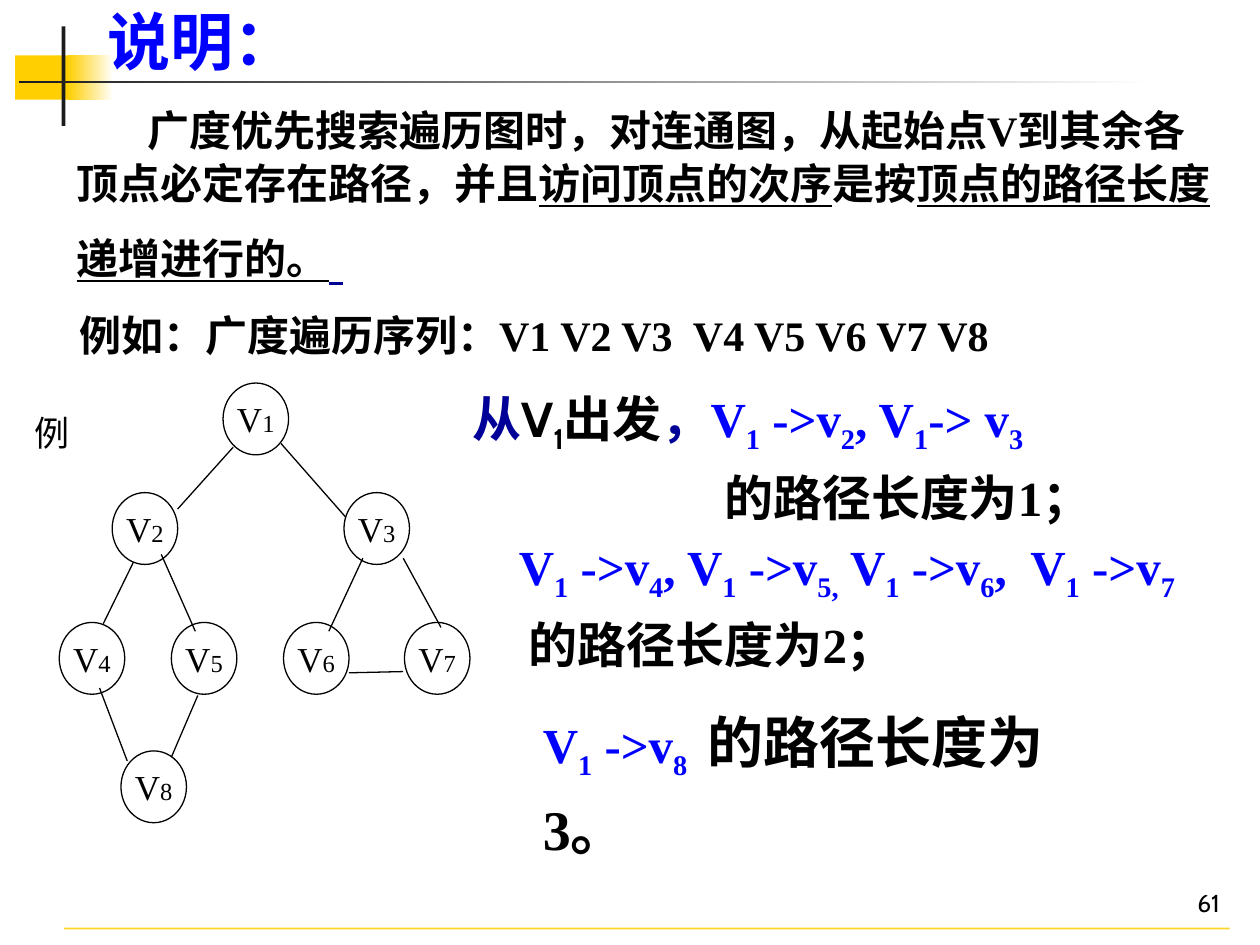
from lxml.etree import SubElement as Sub
from pptx import Presentation
from pptx.dml.color import RGBColor as Rgb
from pptx.enum.shapes import MSO_CONNECTOR as Link, MSO_SHAPE as Kind
from pptx.enum.text import MSO_ANCHOR as Anchor, MSO_AUTO_SIZE as Auto, PP_ALIGN as Align
from pptx.oxml.ns import qn
from pptx.util import Inches, Pt

WIDE, HIGH = Inches(10), Inches(7.5)
BLACK, WHITE = Rgb(0, 0, 0), Rgb(255, 255, 255)
BLUE, NAVY = Rgb(0, 0, 255), Rgb(0, 0, 0x99)
GOLD, AMBER, COAL = Rgb(0xFF, 0xCF, 1), Rgb(0xFF, 0xCC, 0), Rgb(0x1C, 0x1C, 0x1C)
SERIF, SANS, HAN = "Times New Roman", "Cabin", "Noto Sans CJK SC"

ROWS = 30.4, 39.1, 49.4, 59.6
NODES = {1: (17.7, 0), 2: (8.9, 1), 3: (27.3, 1), 4: (4.7, 2),
         5: (13.6, 2), 6: (22.5, 2), 7: (32.1, 2), 8: (9.6, 3)}
EDGES = [(18.5, 35.5, 14.1, 40.4), (22.3, 35.2, 27.4, 41), (10.6, 44.6, 8.2, 49.5),
         (12.8, 44, 15.5, 50.1), (7.9, 54.6, 10.1, 60.4), (15.7, 55.2, 13.6, 60.1),
         (28.8, 44.3, 26.1, 50.1), (27.7, 53.4, 32, 53.3), (32, 44.3, 35, 49.8)]


def grid(*cells):
    """Turn hundredths of the slide width into lengths."""
    return [int(WIDE * n / 100) for n in cells]


def style(size=24, color=BLACK, name=SERIF, bold=True, **more):
    """Return the format values of a run."""
    return dict(size=Pt(size), color=color, name=name, bold=bold, **more)


def math(text, **form):
    """Split text at bars into plain and lowered runs."""
    return [(part, style(28, BLUE, base=-25 * (i % 2)))
            for i, part in enumerate(text.split("|"))]


def write(para, runs, space=1, indent=0, align=Align.LEFT):
    """Fill a paragraph with formatted runs."""
    para.alignment, para.line_spacing = align, space
    para._p.get_or_add_pPr().set("indent", str(Inches(indent)))
    for text, form in runs:
        run = para.add_run()
        run.text = text
        props = run._r.get_or_add_rPr()
        for key, val in form.items():
            if key == "color":
                run.font.color.rgb = val
            elif key == "base":
                props.set("baseline", str(val * 1000))
            else:
                setattr(run.font, key, val)
        Sub(props, qn("a:ea")).set("typeface", HAN)


def label(slide, cells, paras, space=1, align=Align.LEFT, anchor=Anchor.TOP, wrap=True):
    """Add a text box of (indent, runs) paragraphs."""
    frame = slide.shapes.add_textbox(*grid(*cells)).text_frame
    frame.word_wrap, frame.vertical_anchor = wrap, anchor
    for i, (indent, runs) in enumerate(paras):
        para = frame.add_paragraph() if i else frame.paragraphs[0]
        write(para, runs, space, indent, align)


def block(slide, cells, color, fade=False):
    """Add a bar, plain or fading to white."""
    bar = slide.shapes.add_shape(Kind.RECTANGLE, *grid(*cells))
    bar.shadow.inherit = False
    bar.line.fill.background()
    if fade:
        bar.fill.gradient()
        bar.fill.gradient_angle = 0
        for stop, tone in zip(bar.fill.gradient_stops, (color, WHITE)):
            stop.color.rgb = tone
    else:
        bar.fill.solid()
        bar.fill.fore_color.rgb = color


def line(slide, ends, color=BLACK, width=0.75):
    """Add a straight line."""
    link = slide.shapes.add_connector(Link.STRAIGHT, *grid(*ends))
    link.line.color.rgb, link.line.width = color, Pt(width)
    Sub(link._element.spPr, qn("a:effectLst"))
    return link


def node(slide, num, left, row):
    """Add a numbered vertex."""
    oval = slide.shapes.add_shape(Kind.OVAL, *grid(left, ROWS[row], 5.2, 5.7))
    oval.shadow.inherit = False
    oval.fill.background()
    oval.line.color.rgb, oval.line.width = BLACK, Pt(0.75)
    frame = oval.text_frame
    frame.word_wrap, frame.vertical_anchor = False, Anchor.MIDDLE
    write(frame.paragraphs[0], [("V", style(20, bold=False)),
                                (str(num), style(14, bold=False))], align=Align.CENTER)


def head(slide):
    """Format the title."""
    title = slide.shapes.title
    title.left, title.top, title.width, title.height = grid(7.5, -0.3, 20.5, 7)
    frame = title.text_frame
    frame.auto_size, frame.vertical_anchor = Auto.NONE, Anchor.TOP
    write(frame.paragraphs[0], [("说明：", style(36, BLUE))])


def frame(slide):
    """Add the bars, the foot rule and the page number."""
    block(slide, (1.2, 4.4, 4.8, 3.5), GOLD)
    block(slide, (5.4, 4.4, 3.6, 3.5), GOLD, True)
    block(slide, (4.9, 2.1, 0.3, 7.9), COAL)
    block(slide, (1.5, 6.4, 90, 0.2), COAL, True)
    foot = line(slide, (5.1, 73.7, 97.6, 73.7), AMBER, 1)
    tone = next(foot._element.spPr.iter(qn("a:srgbClr")))
    Sub(tone, qn("a:alpha")).set("val", "83000")
    label(slide, (77, 68.3, 20.8, 5), [(0, [("61", style(14, name=SANS, bold=False))])],
          align=Align.RIGHT, anchor=Anchor.BOTTOM)


def prose(slide):
    """Add the explanation and the path lengths."""
    han, under = style(name=HAN), style(name=HAN, underline=True)
    label(slide, (5.1, 7.6, 92.4, 15.7), [(0.56, [
        ("广度优先搜索遍历图时，", style(name=SANS)), ("对连通图，从起始点", han),
        ("V", style()), ("到其余各顶点必定存在路径，并且", han), ("访问顶点的次序", under),
        ("是按", han), ("顶点的路径长度递增进行的。", under),
        (" ", style(36, NAVY, HAN, False, underline=True))])], 1.05)
    label(slide, (5.3, 24.1, 87.3, 5),
          [(0, [("例如：广度遍历序列：V1 V2 V3  V4 V5 V6 V7 V8", style())])])
    sans, dark = style(28, name=SANS), style(28, NAVY, HAN)
    label(slide, (32.7, 29.3, 59.1, 12.2), [
        (0.38, [("从", dark), ("V", sans), ("1", dict(sans, base=-25)), ("出发", sans),
                ("，", dark)] + math("V|1| ->v|2|, V|1|-> v|3")),
        (2.38, [("的路径长度为1；", style(28))])], 1.2)
    label(slide, (38.2, 41, 60.6, 12.2), [
        (0.2, math("V|1| ->v|4|, V|1| ->v|5,| V|1| ->v|6|,  V|1| ->v|7")),
        (0.28, [("的路径长度为2；", style(28))])], 1.2)
    label(slide, (42.1, 54.5, 46, 7.4), [
        (0, math("V|1| ->v|8 ") + [(" 的路径长度为", style(32, name=HAN)),
                                   ("3", style(32)), ("。", style(32, name=HAN))])], 1.2)


def graph(slide):
    """Add the sample graph."""
    for num, spot in NODES.items():
        node(slide, num, *spot)
    for ends in EDGES:
        line(slide, ends)
    label(slide, (1.7, 32.2, 4.8, 4.3), [(0, [("例", style(20, bold=False))])],
          align=Align.CENTER, anchor=Anchor.MIDDLE, wrap=False)


def main():
    """Build and save the slide."""
    deck = Presentation()
    deck.slide_width, deck.slide_height = WIDE, HIGH
    slide = deck.slides.add_slide(deck.slide_layouts[5])
    for part in (head, frame, prose, graph):
        part(slide)
    deck.save("out.pptx")


if __name__ == "__main__":
    main()
